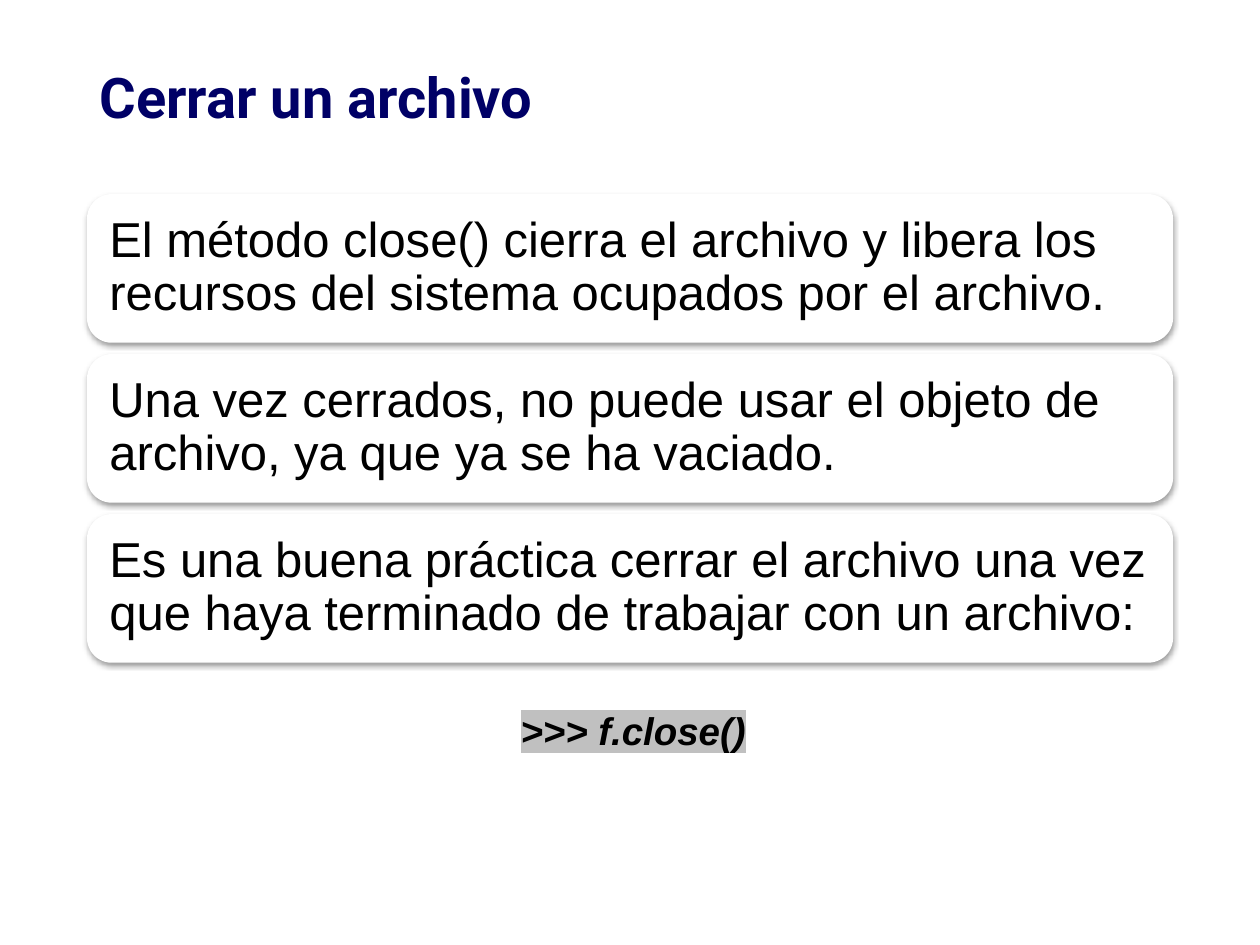
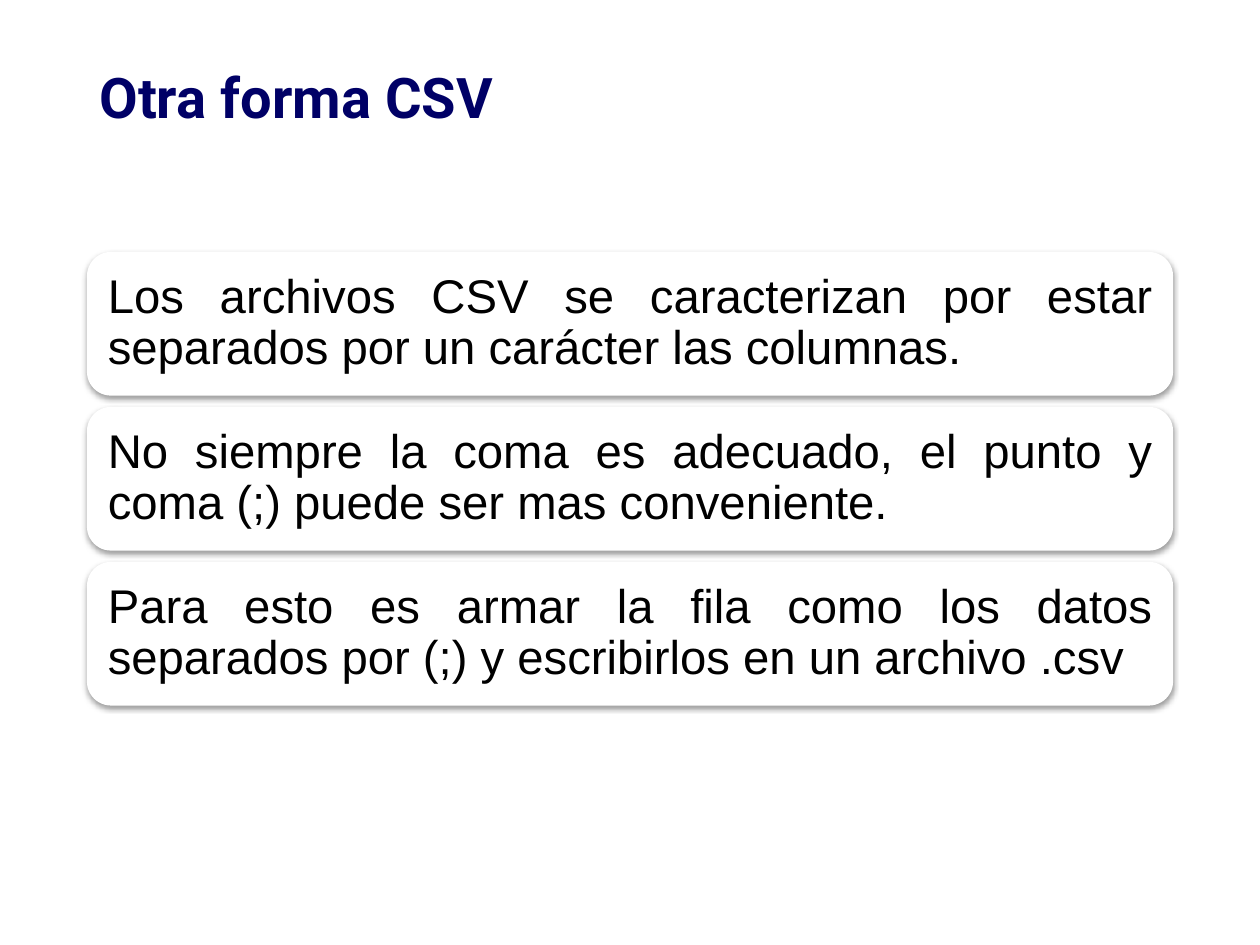
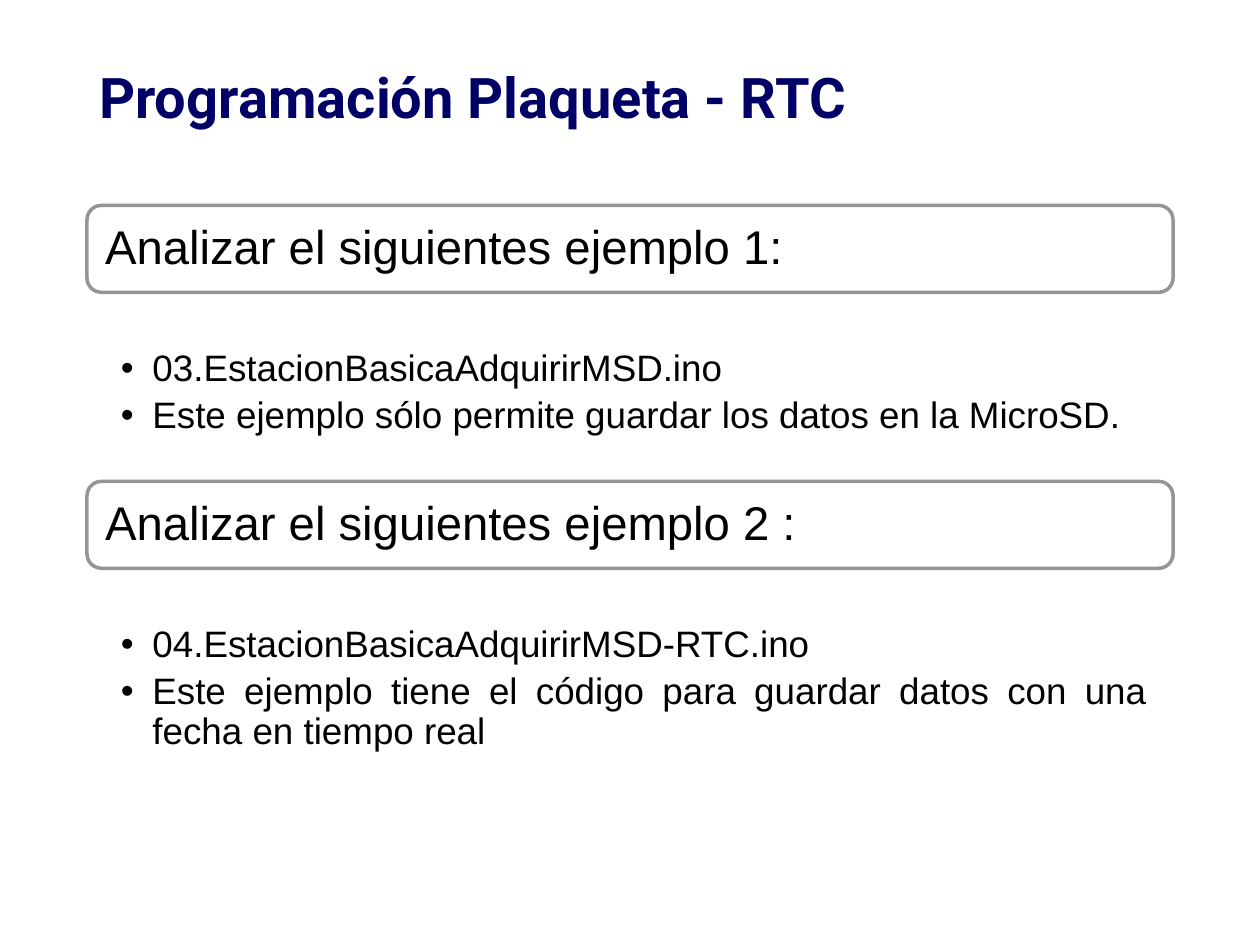
"""Build three slides on closing files, CSV files and the RTC board examples."""
import pptx
import pptx.dml.color
import pptx.enum.shapes
import pptx.enum.text
import pptx.oxml.ns
import pptx.util
from lxml import etree

Inches = pptx.util.Inches
Pt = pptx.util.Pt
ALIGN = pptx.enum.text.PP_ALIGN
ANCHOR = pptx.enum.text.MSO_ANCHOR

NAVY, BLACK, WHITE, GRAY, SILVER = "000066", "000000", "FFFFFF", "959595", "C0C0C0"
TITLE_FONT, BODY_FONT = "Roboto", "Arial"
LEFT, WIDTH = 0.69, 8.62
CORNER = 0.167
CARD_GAP = 0.09
LINE_SPACING = 0.9


def rgb(hex_code):
    """Return the colour for a hex string."""
    return pptx.dml.color.RGBColor.from_string(hex_code)


def add_xml(parent, tag, **attributes):
    """Append a DrawingML element to a parent and return it."""
    return etree.SubElement(parent, pptx.oxml.ns.qn(tag), attributes)


def set_frame(frame, insets, anchor=ANCHOR.TOP):
    """Wrap a text frame and set its insets (left, top, right, bottom)."""
    frame.word_wrap = True
    frame.vertical_anchor = anchor
    frame.margin_left, frame.margin_top, frame.margin_right, frame.margin_bottom = (
        Inches(inset) for inset in insets)


def add_run(paragraph, text, size, color=BLACK, font=BODY_FONT, bold=False, italic=False):
    """Add one styled run to a paragraph and return it."""
    run = paragraph.add_run()
    run.text = text
    run.font.size = Pt(size)
    run.font.bold = bold
    run.font.italic = italic
    run.font.color.rgb = rgb(color)
    run.font.name = font
    return run


def add_text_box(slide, box, insets):
    """Add a text box in box (left, top, width, height) and return its frame."""
    frame = slide.shapes.add_textbox(*(Inches(length) for length in box)).text_frame
    set_frame(frame, insets)
    return frame


def add_titled_slide(deck, title):
    """Add a blank slide with a white background and the shared title."""
    slide = deck.slides.add_slide(deck.slide_layouts[6])
    slide.background.fill.solid()
    slide.background.fill.fore_color.rgb = rgb(WHITE)
    frame = add_text_box(slide, (LEFT, 0.4, WIDTH, 0.8), (0.1,) * 4)
    add_run(frame.paragraphs[0], title, 32, NAVY, TITLE_FONT, bold=True)
    return slide


def add_card(slide, box, text, size, inset, align):
    """Add a white rounded card holding one statement."""
    card = slide.shapes.add_shape(
        pptx.enum.shapes.MSO_SHAPE.ROUNDED_RECTANGLE, *(Inches(length) for length in box))
    card.adjustments[0] = CORNER
    card.shadow.inherit = False
    card.fill.solid()
    card.fill.fore_color.rgb = rgb(WHITE)
    card.line.fill.background()
    set_frame(card.text_frame, (inset,) * 4, ANCHOR.MIDDLE)
    statement = card.text_frame.paragraphs[0]
    statement.alignment = align
    statement.line_spacing = LINE_SPACING
    add_run(statement, text, size)
    return card


def add_card_stack(slide, top, height, statements, size, inset, align):
    """Stack shadowed cards with equal gaps."""
    for row, statement in enumerate(statements):
        box = (LEFT, top + row * (height + CARD_GAP), WIDTH, height)
        card = add_card(slide, box, statement, size, inset, align)
        effects = card.element.spPr.find(pptx.oxml.ns.qn("a:effectLst"))
        shadow = add_xml(effects, "a:outerShdw", blurRad=str(Pt(3.1)), dist=str(Pt(1.6)),
                         dir="5400000", algn="ctr", rotWithShape="0")
        add_xml(add_xml(shadow, "a:srgbClr", val=BLACK), "a:alpha", val="38000")


def add_command(slide, box, command):
    """Add a centred, highlighted line of code."""
    frame = add_text_box(slide, box, (0.27, 0.49, 0.22, 0.04))
    line = frame.paragraphs[0]
    line.alignment = ALIGN.CENTER
    line.line_spacing = LINE_SPACING
    run = add_run(line, command, 22, bold=True, italic=True)
    properties = run.font._element
    highlight = add_xml(properties, "a:highlight")
    add_xml(highlight, "a:srgbClr", val=SILVER)
    properties.find(pptx.oxml.ns.qn("a:solidFill")).addnext(highlight)


def add_bullets(slide, box, points):
    """Add a justified bullet list."""
    frame = add_text_box(slide, box, (0.27, 0.46, 0.21, 0.04))
    for index, point in enumerate(points):
        item = frame.add_paragraph() if index else frame.paragraphs[0]
        properties = item._p.get_or_add_pPr()
        properties.set("marL", str(Inches(0.25)))
        properties.set("indent", str(Inches(-0.25)))
        add_xml(add_xml(properties, "a:buClr"), "a:srgbClr", val=BLACK)
        add_xml(properties, "a:buFont", typeface=BODY_FONT)
        add_xml(properties, "a:buChar", char="•")
        item.alignment = ALIGN.JUSTIFY
        item.line_spacing = LINE_SPACING
        if index:
            item.space_before = Pt(4.2)
        add_run(item, point, 21)


def add_example(slide, top, list_height, heading, points):
    """Add an outlined heading with its bullets and return the bottom edge."""
    heading_height = 0.69
    card = add_card(slide, (LEFT, top, WIDTH, heading_height), heading, 27, 0.11, ALIGN.JUSTIFY)
    card.line.color.rgb = rgb(GRAY)
    card.line.width = Pt(2)
    list_top = top + heading_height
    add_bullets(slide, (LEFT, list_top, WIDTH, list_height), points)
    return list_top + list_height


def build_close_slide(deck):
    """Build the slide on closing a file."""
    slide = add_titled_slide(deck, "Cerrar un archivo")
    add_card_stack(slide, 1.54, 1.18, (
        "El método close() cierra el archivo y libera los recursos del sistema ocupados por el archivo.",
        "Una vez cerrados, no puede usar el objeto de archivo, ya que ya se ha vaciado.",
        "Es una buena práctica cerrar el archivo una vez que haya terminado de trabajar con un archivo:",
    ), 28, 0.12, ALIGN.LEFT)
    add_command(slide, (LEFT, 5.26, WIDTH, 0.79), ">>> f.close()")


def build_csv_slide(deck):
    """Build the slide on CSV separators."""
    slide = add_titled_slide(deck, "Otra forma CSV")
    add_card_stack(slide, 2, 1.14, (
        "Los archivos CSV se caracterizan por estar separados por un carácter las columnas.",
        "No siempre la coma es adecuado, el punto y coma (;) puede ser mas conveniente.",
        "Para esto es armar la fila como los datos separados por (;) y escribirlos en un archivo .csv",
    ), 27, 0.11, ALIGN.JUSTIFY)


def build_board_slide(deck):
    """Build the slide with the two board examples."""
    slide = add_titled_slide(deck, "Programación Plaqueta - RTC")
    top = 1.63
    for list_height, heading, points in (
        (1.5, "Analizar el siguientes ejemplo 1:", (
            "03.EstacionBasicaAdquirirMSD.ino",
            "Este ejemplo sólo permite guardar los datos en la MicroSD.")),
        (1.44, "Analizar el siguientes ejemplo 2 :", (
            "04.EstacionBasicaAdquirirMSD-RTC.ino",
            "Este ejemplo tiene el código para guardar datos con una fecha en tiempo real")),
    ):
        top = add_example(slide, top, list_height, heading, points)


def main():
    """Build the slides and save the deck."""
    deck = pptx.Presentation()
    deck.slide_width, deck.slide_height = Inches(10), Inches(7.5)
    build_close_slide(deck)
    build_csv_slide(deck)
    build_board_slide(deck)
    deck.save("out.pptx")


if __name__ == "__main__":
    main()
